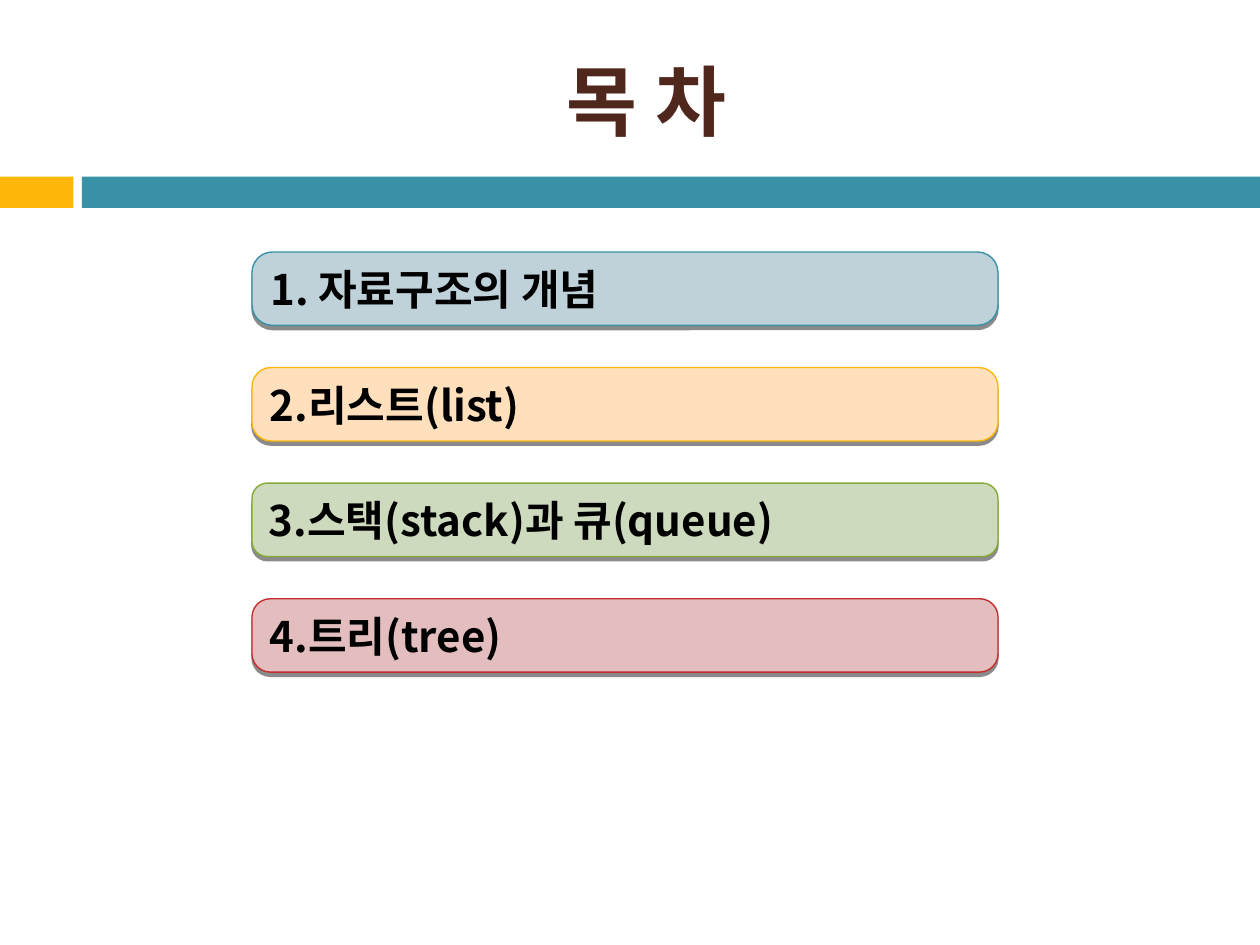
from lxml import etree
from pptx import Presentation
from pptx.dml.color import RGBColor
from pptx.enum.shapes import MSO_SHAPE
from pptx.enum.text import MSO_ANCHOR, PP_ALIGN
from pptx.oxml.ns import qn
from pptx.util import Cm, Pt

RECT = MSO_SHAPE.RECTANGLE
ROUND = MSO_SHAPE.ROUNDED_RECTANGLE
MIDDLE = MSO_ANCHOR.MIDDLE
LEFT, CENTER = PP_ALIGN.LEFT, PP_ALIGN.CENTER


def rgb(color):
    return RGBColor.from_string(color)


class Deck:
    font = "Noto Sans CJK KR"

    def __init__(self, prs):
        self.s = prs.slides.add_slide(prs.slide_layouts[5])

    def add_text(self, tf, text, size, color, align):
        frame = {"word_wrap": True, "vertical_anchor": MIDDLE}
        for name, value in frame.items():
            setattr(tf, name, value)
        p = tf.paragraphs[0]
        p.alignment = align
        r = p.add_run()
        r.text = text
        style = {"name": self.font, "size": Pt(size), "bold": True}
        for name, value in style.items():
            setattr(r.font, name, value)
        r.font.color.rgb = rgb(color)
        # Korean letters take the East Asian font
        latin = r.font._element.find(qn("a:latin"))
        ea = etree.Element(qn("a:ea"), typeface=self.font)
        latin.addnext(ea)

    def title(self, text, x, y, w, h):
        sp = self.s.shapes.title
        box = {"left": x, "top": y, "width": w, "height": h}
        for name, value in box.items():
            setattr(sp, name, Cm(value))
        self.add_text(sp.text_frame, text, 44, "4F271C", CENTER)

    def shape(self, kind, x, y, w, h, fill):
        sp = self.s.shapes.add_shape(kind, Cm(x), Cm(y), Cm(w), Cm(h))
        sp.shadow.inherit = False
        sp.fill.solid()
        sp.fill.fore_color.rgb = rgb(fill)
        sp.line.fill.background()
        return sp

    def hard_shadow(self, sp):
        effects = sp._element.spPr.find(qn("a:effectLst"))
        shadow = etree.SubElement(effects, qn("a:outerShdw"), blurRad="0",
                                  dist=str(Pt(2.4)), dir="5400000",
                                  algn="ctr", rotWithShape="0")
        color = etree.SubElement(shadow, qn("a:srgbClr"), val="000000")
        etree.SubElement(color, qn("a:alpha"), val="45000")

    def entry(self, text, x, y, w, h, fill, line, corner):
        sp = self.shape(ROUND, x, y, w, h, fill)
        sp.adjustments[0] = corner
        sp.line.color.rgb = rgb(line)
        sp.line.width = Pt(0.79)
        self.hard_shadow(sp)
        self.add_text(sp.text_frame, text, 24, "000000", LEFT)


def main():
    prs = Presentation()
    prs.slide_width, prs.slide_height = Cm(25.4), Cm(19.05)
    deck = Deck(prs)

    # Header band and title
    deck.shape(RECT, 0, 3.56, 1.48, 0.63, "FEB80A")
    deck.shape(RECT, 1.65, 3.56, 23.75, 0.63, "3891A7")
    deck.title("목 차", 1.7, 0.64, 22.66, 2.74)

    # Contents, evenly stacked
    entries = [
        ("1. 자료구조의 개념", "BFD2D9", "3891A7", 0.28),
        ("2.리스트(list)", "FFDFBC", "FEB80A", 0.26),
        ("3.스택(stack)과 큐(queue)", "CEDABE", "84AA33", 0.21),
        ("4.트리(tree)", "E4BEBE", "C32D2E", 0.25),
    ]
    top, step = 5.08, 2.33
    for i, (text, fill, line, corner) in enumerate(entries):
        deck.entry(text, 5.08, top + i * step, 15.04, 1.48, fill, line, corner)

    prs.save("out.pptx")


if __name__ == "__main__":
    main()
